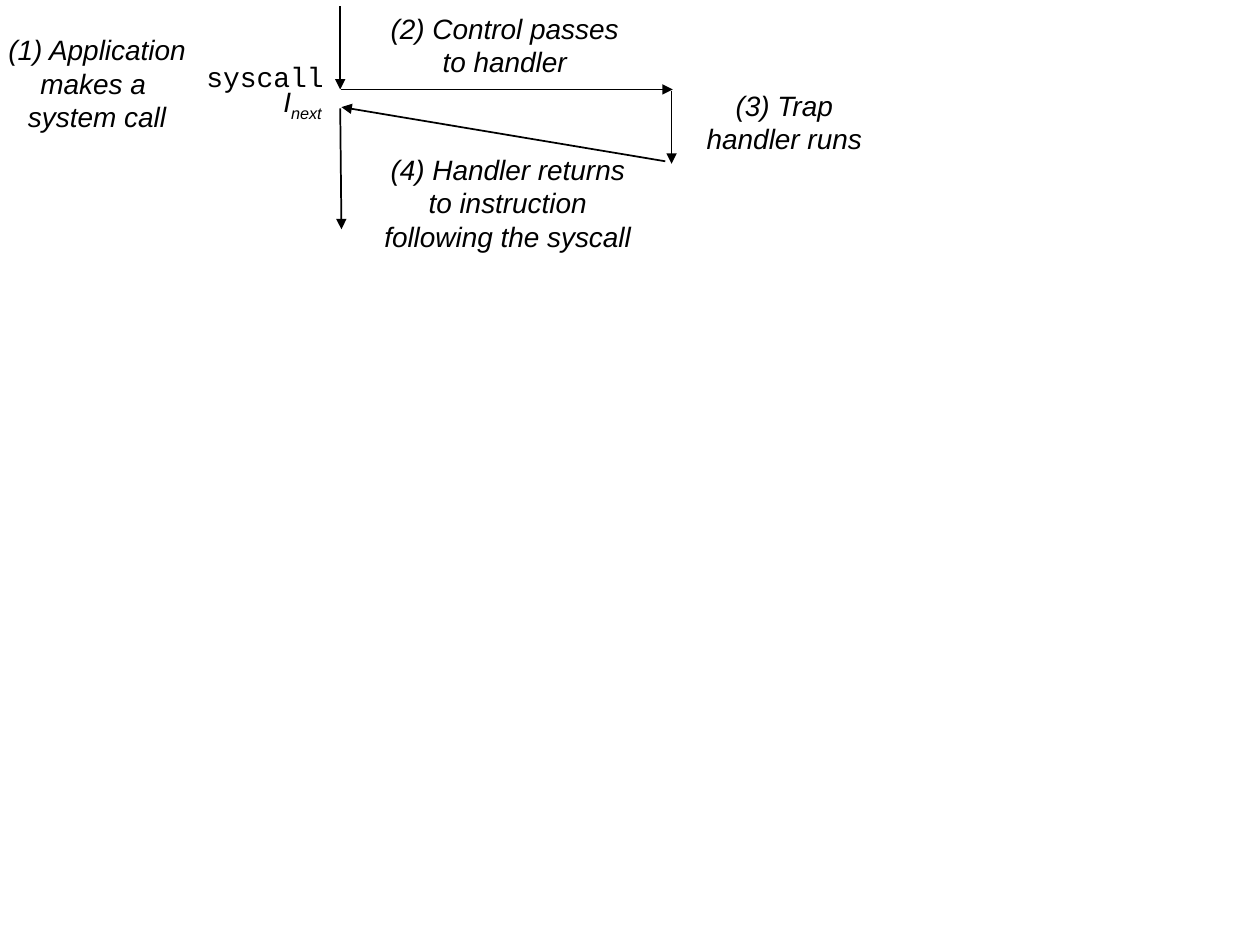
from pptx import Presentation
from pptx.dml.color import RGBColor
from pptx.enum.shapes import MSO_CONNECTOR
from pptx.enum.text import MSO_ANCHOR, MSO_AUTO_SIZE, PP_ALIGN
from pptx.oxml.ns import qn
from pptx.util import Inches, Pt
from lxml.etree import SubElement

COLORS = {"ink": "000000"}


class Diagram:
    ink = RGBColor.from_string(COLORS["ink"])
    label_font = {"name": "Arial", "size": Pt(16), "italic": True}
    code_font = {"name": "Courier New", "size": Pt(16), "italic": False}

    def __init__(self, slide):
        self.slide = slide

    def arrow(self, x1, y1, x2, y2):
        s = self.slide.shapes.add_connector(
            MSO_CONNECTOR.STRAIGHT, *(Inches(v) for v in (x1, y1, x2, y2)))
        s.line.width = Pt(1)
        s.line.color.rgb = self.ink
        SubElement(s.line._get_or_add_ln(), qn("a:tailEnd"), type="triangle")
        SubElement(s._element.spPr, qn("a:effectLst"))

    def text(self, box, lines, font=None, align=PP_ALIGN.CENTER,
             anchor=MSO_ANCHOR.TOP, wrap=False):
        """Each line is a string, or a (base, subscript) pair."""
        sp = self.slide.shapes.add_textbox(*(Inches(v) for v in box))
        tf = sp.text_frame
        frame = {"word_wrap": wrap, "vertical_anchor": anchor,
                 "auto_size": MSO_AUTO_SIZE.SHAPE_TO_FIT_TEXT}
        for key, value in frame.items():
            setattr(tf, key, value)
        for i, line in enumerate(lines):
            p = tf.add_paragraph() if i else tf.paragraphs[0]
            p.alignment = align
            parts = (line,) if isinstance(line, str) else line
            for j, part in enumerate(parts):
                r = p.add_run()
                r.text = part
                for key, value in (font or self.label_font).items():
                    setattr(r.font, key, value)
                r.font.color.rgb = self.ink
                if j:
                    r.font._element.set("baseline", "-25000")


def main():
    prs = Presentation()
    prs.slide_width, prs.slide_height = Inches(10), Inches(7.5)
    d = Diagram(prs.slides.add_slide(prs.slide_layouts[6]))

    # Control flow: application, trap, handler, return, application
    for ends in [(2.7, 0.05, 2.7, 0.71),
                 (2.71, 0.71, 5.34, 0.71),
                 (5.33, 0.72, 5.33, 1.3),
                 (5.28, 1.28, 2.71, 0.85),
                 (2.7, 0.86, 2.71, 1.82)]:
        d.arrow(*ends)

    # Handler steps
    d.text((3, 0.04, 2.01, 0.63), ["(2) Control passes", "to handler"])
    d.text((5.41, 0.65, 1.63, 0.63), ["(3) Trap handler runs"], wrap=True)
    d.text((2.95, 1.16, 2.16, 0.9),
           ["(4) Handler returns", "to instruction", "following the syscall"])

    # Instructions
    d.text((1.54, 0.42, 1.14, 0.37), ["syscall"], d.code_font, PP_ALIGN.LEFT)
    d.text((2.15, 0.62, 0.55, 0.37), [("I", "next")], align=PP_ALIGN.LEFT)

    # Application step
    d.text((-0.04, 0.21, 1.62, 0.9),
           ["(1) Application", "makes a ", "system call"],
           anchor=MSO_ANCHOR.MIDDLE)

    prs.save("out.pptx")


if __name__ == "__main__":
    main()
